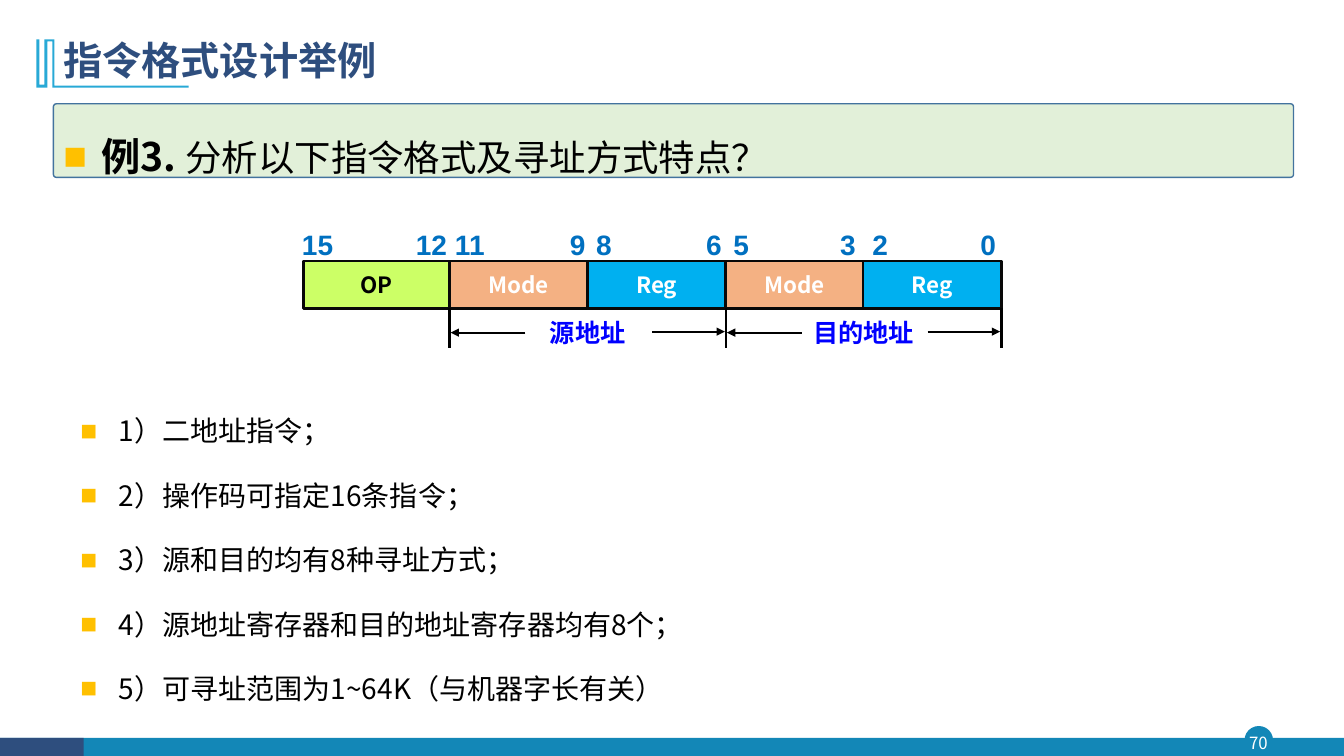
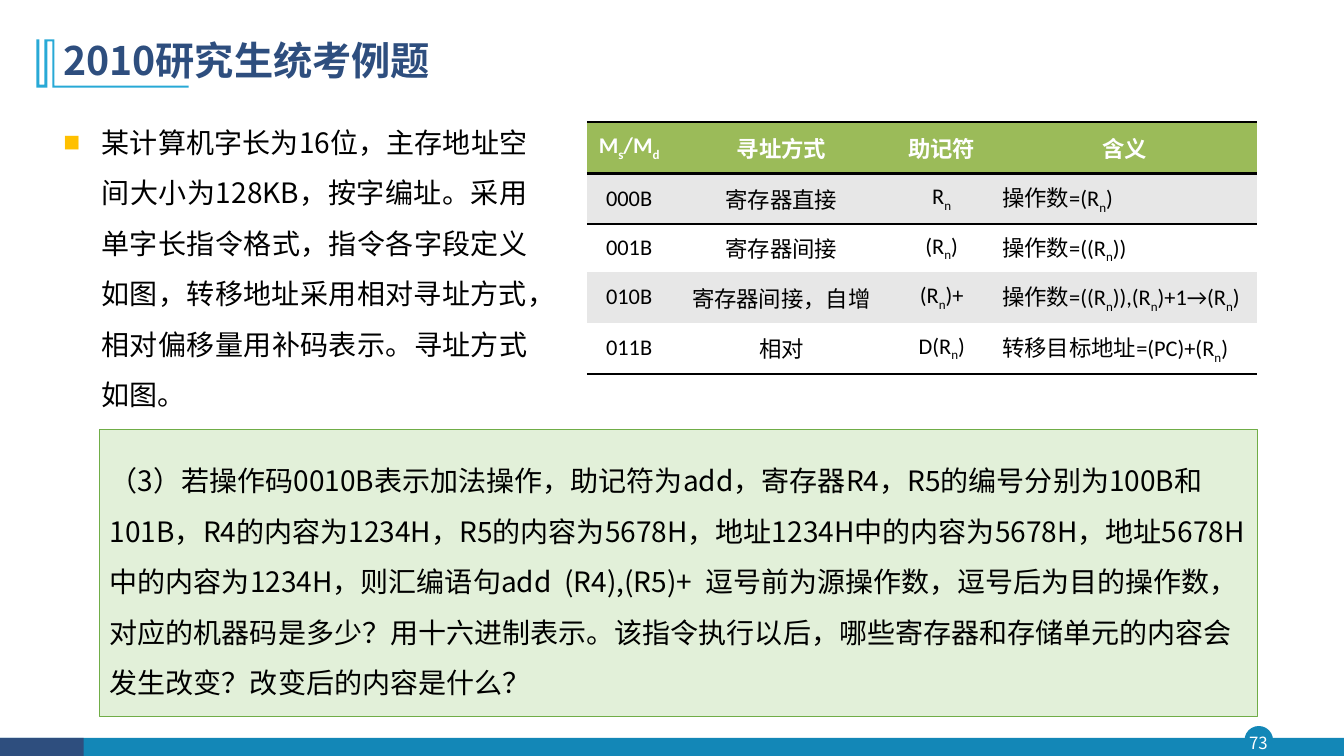
from lxml import etree
from pptx import Presentation
from pptx.dml.color import RGBColor
from pptx.enum.shapes import MSO_CONNECTOR, MSO_SHAPE
from pptx.enum.text import MSO_ANCHOR, PP_ALIGN
from pptx.oxml.ns import qn
from pptx.util import Pt

PX = 9144  # 100 px to the inch
W, H = 1333, 750

RECT, ROUND, OVAL = MSO_SHAPE.RECTANGLE, MSO_SHAPE.ROUNDED_RECTANGLE, MSO_SHAPE.OVAL
LEFT, CENTER, JUSTIFY = PP_ALIGN.LEFT, PP_ALIGN.CENTER, PP_ALIGN.JUSTIFY
TOP, MIDDLE = MSO_ANCHOR.TOP, MSO_ANCHOR.MIDDLE

BLACK, WHITE = RGBColor(0, 0, 0), RGBColor(255, 255, 255)
TEAL, NAVY, CYAN = RGBColor(0x13, 0x87, 0xB7), RGBColor(0x2E, 0x4E, 0x7E), RGBColor(0x28, 0xA9, 0xD6)
PALE_GREEN, GREEN = RGBColor(0xE2, 0xF0, 0xD9), RGBColor(0x70, 0xAD, 0x47)
STEEL, AMBER = RGBColor(0x43, 0x73, 0x9E), RGBColor(0xFF, 0xC0, 0x00)
LIME, ORANGE, SKY = RGBColor(0xCC, 0xFF, 0x66), RGBColor(0xF4, 0xB1, 0x83), RGBColor(0x00, 0xB0, 0xF0)
INK, BLUE, BIT_BLUE = RGBColor(8, 8, 8), RGBColor(0, 0, 255), RGBColor(0x00, 0x70, 0xC0)
HEAD_GREEN, GREY = RGBColor(0x9B, 0xBB, 0x59), RGBColor(0xE7, 0xE7, 0xE7)

SANS = "Noto Sans CJK SC"
TITLE = dict(size=28, color=NAVY, bold=True)
BODY = dict(size=20)
NO_STYLE = "{2D5ABB26-0587-4C30-8999-92F81FD0307C}"


def emu(*lengths):
    return [n * PX for n in lengths]


def sub(parent, tag, **attrs):
    return etree.SubElement(parent, qn(tag), attrs)


# ---- text ----
def add_run(p, text, size=20, color=BLACK, bold=False, name=SANS, baseline=0):
    r = p.add_run()
    r.text = text
    r.font.color.rgb = color
    for key, value in dict(size=Pt(size), bold=bold, name=name).items():
        setattr(r.font, key, value)
    rPr = r.font._element
    sub(rPr, "a:ea", typeface=SANS)
    if baseline:
        rPr.set("baseline", str(baseline * 1000))


def add_bullet(p):
    pPr = p._p.get_or_add_pPr()
    pPr.set("marL", str(38 * PX))
    pPr.set("indent", str(-38 * PX))
    sub(sub(pPr, "a:buClr"), "a:srgbClr", val=str(AMBER))
    sub(pPr, "a:buFont", typeface="Arial")
    sub(pPr, "a:buChar", char="■")


def fill_text(tf, paragraphs, align=LEFT, anchor=TOP, spacing=None, before=0, bullet=False):
    """Each paragraph is a list of (text, format) runs."""
    tf.word_wrap = True
    tf.vertical_anchor = anchor
    for i, runs in enumerate(paragraphs):
        p = tf.add_paragraph() if i else tf.paragraphs[0]
        p.alignment = align
        if spacing:
            p.line_spacing = spacing
        if i and before:
            p.space_before = Pt(before)
        if bullet:
            add_bullet(p)
        for text, fmt in runs:
            add_run(p, text, **fmt)


def add_text(s, box, paragraphs, **layout):
    tf = s.shapes.add_textbox(*emu(*box)).text_frame
    fill_text(tf, paragraphs, **layout)
    return tf


def add_bullets(s, box, paragraphs):
    add_text(s, box, paragraphs, align=JUSTIFY, spacing=1.5, before=10, bullet=True)


# ---- shapes and lines ----
def paint(sp, fill, line=None, width=1):
    sp.shadow.inherit = False
    sp.fill.solid()
    sp.fill.fore_color.rgb = fill
    if line is None:
        sp.line.fill.background()
    else:
        sp.line.color.rgb = line
        sp.line.width = Pt(width)


def add_box(s, kind, box, fill, line=None, width=1):
    sp = s.shapes.add_shape(kind, *emu(*box))
    paint(sp, fill, line, width)
    return sp


def add_line(s, x1, y1, x2, y2, width, arrow=False):
    c = s.shapes.add_connector(MSO_CONNECTOR.STRAIGHT, *emu(x1, y1, x2, y2))
    c.line.color.rgb = BLACK
    c.line.width = Pt(width)
    if arrow:
        sub(c.line._get_or_add_ln(), "a:tailEnd", type="triangle")
    sub(c._element.spPr, "a:effectLst")


# ---- shared frame of a slide ----
def add_title_mark(s, x, y):
    """Two upright bars with a thin rule under the title."""
    points = [(18, 0), (18, 46), (151, 46), (151, 48), (16, 48), (16, 2), (11, 2),
              (11, 48), (0, 48), (0, 0), (3, 0), (3, 45), (8, 45), (8, 0)]
    points = [(x + dx, y + dy) for dx, dy in points]
    fb = s.shapes.build_freeform(*points[0], scale=PX)
    fb.add_line_segments(points[1:], close=True)
    paint(fb.convert_to_shape(), CYAN)


def add_footer(s, number, y):
    add_box(s, OVAL, (1235, y - 11, 27, 27), TEAL, TEAL)
    add_box(s, RECT, (0, y, W, 18), TEAL)
    add_box(s, RECT, (0, y, 83, 18), NAVY)
    tf = add_text(s, (1232, y - 11, 32, 31), [[(number, dict(size=12, color=WHITE))]],
                  align=CENTER, anchor=MIDDLE)
    for side in ("left", "top", "right", "bottom"):
        setattr(tf, f"margin_{side}", 0)


def new_slide(prs, title, title_width, number):
    s = prs.slides.add_slide(prs.slide_layouts[6])
    add_footer(s, number, 732)
    add_title_mark(s, 36, 39)
    add_text(s, (53, 28, title_width, 68), [[(title, TITLE)]], anchor=MIDDLE, spacing=0.9)
    return s


# ---- instruction format diagram ----
def add_bit(s, center, y, text):
    fmt = dict(size=20, color=BIT_BLUE, bold=True, name="Arial")
    add_text(s, (center - 30, y, 60, 44), [[(text, fmt)]], align=CENTER)


def add_address_span(s, left, right, y, text):
    """A label between two arrows that point to the ends of the span."""
    fmt = dict(size=18, color=BLUE, bold=True)
    add_text(s, (left, y, right - left, 40), [[(text, fmt)]], align=CENTER)
    add_line(s, left + 75, y + 20, left + 1, y + 20, 1.5, arrow=True)
    add_line(s, right - 73, y + 19, right - 1, y + 19, 1.5, arrow=True)


def add_format_diagram(s, x, y):
    # name, width, fill, text colour, high bit and its inset, low bit and its inset
    fields = [
        ("OP", 145, LIME, BLACK, "15", 14, "12", 18),
        ("Mode", 137, ORANGE, WHITE, "11", 20, "9", 10),
        ("Reg", 137, SKY, WHITE, "8", 16, "6", 12),
        ("Mode", 136, ORANGE, WHITE, "5", 15, "3", 15),
        ("Reg", 137, SKY, WHITE, "2", 17, "0", 13),
    ]
    edges = [x]
    for name, width, fill, color, high, high_in, low, low_in in fields:
        left = edges[-1]
        edges.append(left + width)
        sp = add_box(s, RECT, (left, y, width, 47), fill, INK, 2)
        fill_text(sp.text_frame, [[(name, dict(size=16, color=color, bold=True))]],
                  align=CENTER, anchor=MIDDLE)
        add_bit(s, left + high_in, y - 38, high)
        add_bit(s, edges[-1] - low_in, y - 38, low)
    for edge in edges[1::2]:
        add_line(s, edge, y + 47, edge, y + 86, 2)
    add_address_span(s, edges[1], edges[3], y + 51, "源地址")
    add_address_span(s, edges[3], edges[5], y + 51, "目的地址")


# ---- addressing mode table ----
def add_border(cell, side):
    ln = etree.Element(qn(f"a:ln{side}"), w=str(Pt(2)))
    sub(sub(ln, "a:solidFill"), "a:srgbClr", val=str(BLACK))
    return cell._tc.get_or_add_tcPr().insert(0, ln)


def marked_runs(text, fmt):
    """Split text into runs; the letter after an underscore is a subscript."""
    first, *rest = text.split("_")
    runs = [(first, fmt)]
    for part in rest:
        runs.append((part[0], dict(fmt, baseline=-25)))
        if part[1:]:
            runs.append((part[1:], fmt))
    return runs


def add_mode_table(s, x, y):
    rows = [
        ("M_s/M_d", "寻址方式", "助记符", "含义"),
        ("000B", "寄存器直接", "R_n", "操作数=(R_n)"),
        ("001B", "寄存器间接", "(R_n)", "操作数=((R_n))"),
        ("010B", "寄存器间接，自增", "(R_n)+", "操作数=((R_n)),(R_n)+1→(R_n)"),
        ("011B", "相对", "D(R_n)", "转移目标地址=(PC)+(R_n)"),
    ]
    widths, heights = (84, 218, 100, 263), (51, 50, 48, 50, 51)
    table = s.shapes.add_table(len(rows), len(widths),
                               *emu(x, y, sum(widths), sum(heights))).table
    table._tbl.tblPr.find(qn("a:tableStyleId")).text = NO_STYLE
    for col, width in zip(table.columns, widths):
        col.width = width * PX
    for i, (texts, height) in enumerate(zip(rows, heights)):
        table.rows[i].height = height * PX
        head = i == 0
        fmt = dict(size=16, name="Calibri", bold=head, color=WHITE if head else BLACK)
        sides = {0: "BT", 1: "T", len(rows) - 1: "B"}.get(i, "")
        for j, text in enumerate(texts):
            cell = table.cell(i, j)
            cell.fill.solid()
            cell.fill.fore_color.rgb = HEAD_GREEN if head else GREY if i % 2 else WHITE
            cell.vertical_anchor = MIDDLE
            p = cell.text_frame.paragraphs[0]
            p.alignment = LEFT if j == 3 and not head else CENTER
            for part, part_fmt in marked_runs(text, fmt):
                add_run(p, part, **part_fmt)
            for side in sides:
                add_border(cell, side)


# ---- slides ----
def build_format_slide(prs):
    s = new_slide(prs, "指令格式设计举例", 1150, "70")
    banner = add_box(s, ROUND, (53, 103, 1230, 73), PALE_GREEN, STEEL)
    banner.adjustments[0] = 0.04
    add_bullets(s, (53, 103, 1150, 87), [[("例3. ", dict(size=28, bold=True)),
                                          ("分析以下指令格式及寻址方式特点？", dict(size=26))]])
    add_format_diagram(s, 301, 259)
    answers = ["1）二地址指令；", "2）操作码可指定16条指令；", "3）源和目的均有8种寻址方式；",
               "4）源地址寄存器和目的地址寄存器均有8个；", "5）可寻址范围为1~64K（与机器字长有关）"]
    add_bullets(s, (70, 389, 1214, 338), [[(text, BODY)] for text in answers])


def build_exam_slide(prs):
    s = new_slide(prs, "2010研究生统考例题", 404, "73")
    add_bullets(s, (53, 103, 480, 425), [[(
        "某计算机字长为16位，主存地址空间大小为128KB，按字编址。采用单字长指令格式，"
        "指令各字段定义如图，转移地址采用相对寻址方式，相对偏移量用补码表示。寻址方式如图。", BODY)]])
    add_mode_table(s, 582, 121)
    question = add_box(s, RECT, (99, 426, 1148, 285), PALE_GREEN, GREEN, 0.5)
    fill_text(question.text_frame, [[(
        "（3）若操作码0010B表示加法操作，助记符为add，寄存器R4，R5的编号分别为100B和101B，"
        "R4的内容为1234H，R5的内容为5678H，地址1234H中的内容为5678H，地址5678H中的内容为1234H，"
        "则汇编语句add  (R4),(R5)+  逗号前为源操作数，逗号后为目的操作数，对应的机器码是多少？"
        "用十六进制表示。该指令执行以后，哪些寄存器和存储单元的内容会发生改变？改变后的内容是什么？",
        BODY)]], anchor=MIDDLE, spacing=1.5)


def main():
    prs = Presentation()
    prs.slide_width, prs.slide_height = emu(W, H)
    build_format_slide(prs)
    build_exam_slide(prs)
    prs.save("out.pptx")


if __name__ == "__main__":
    main()
